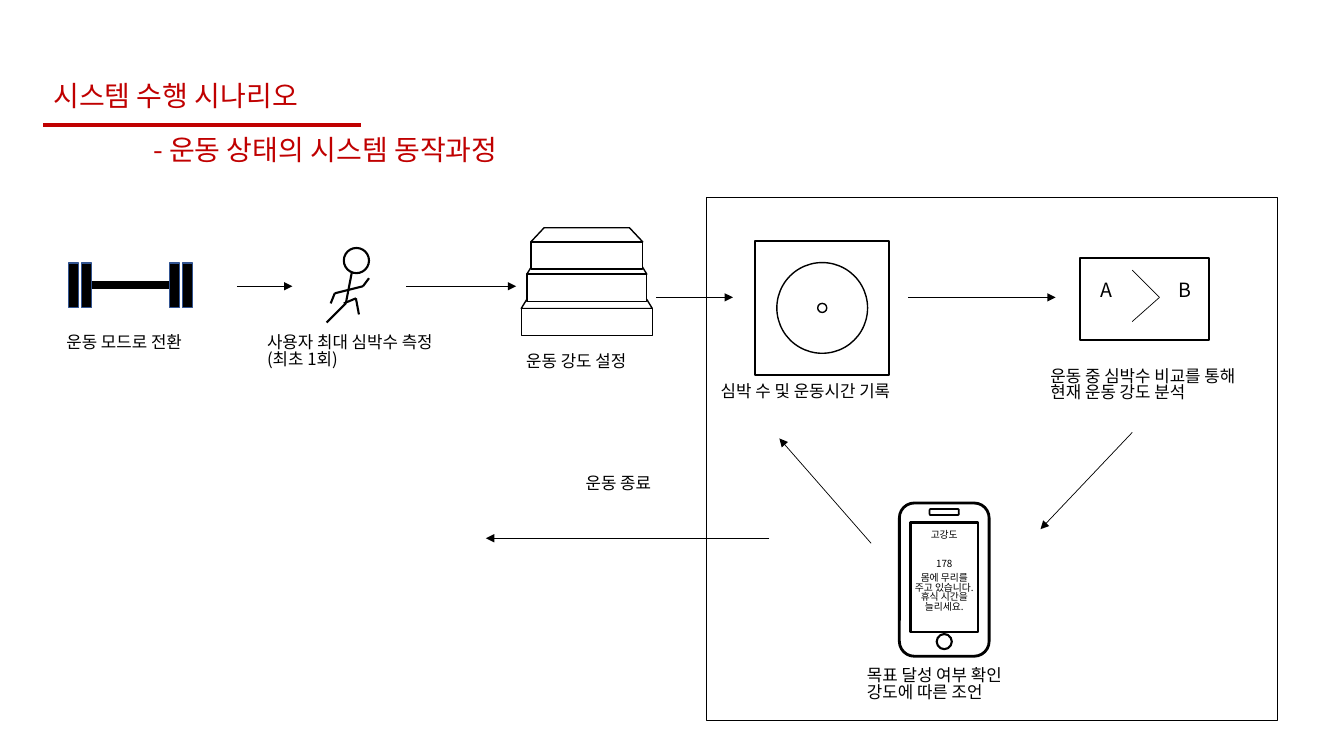
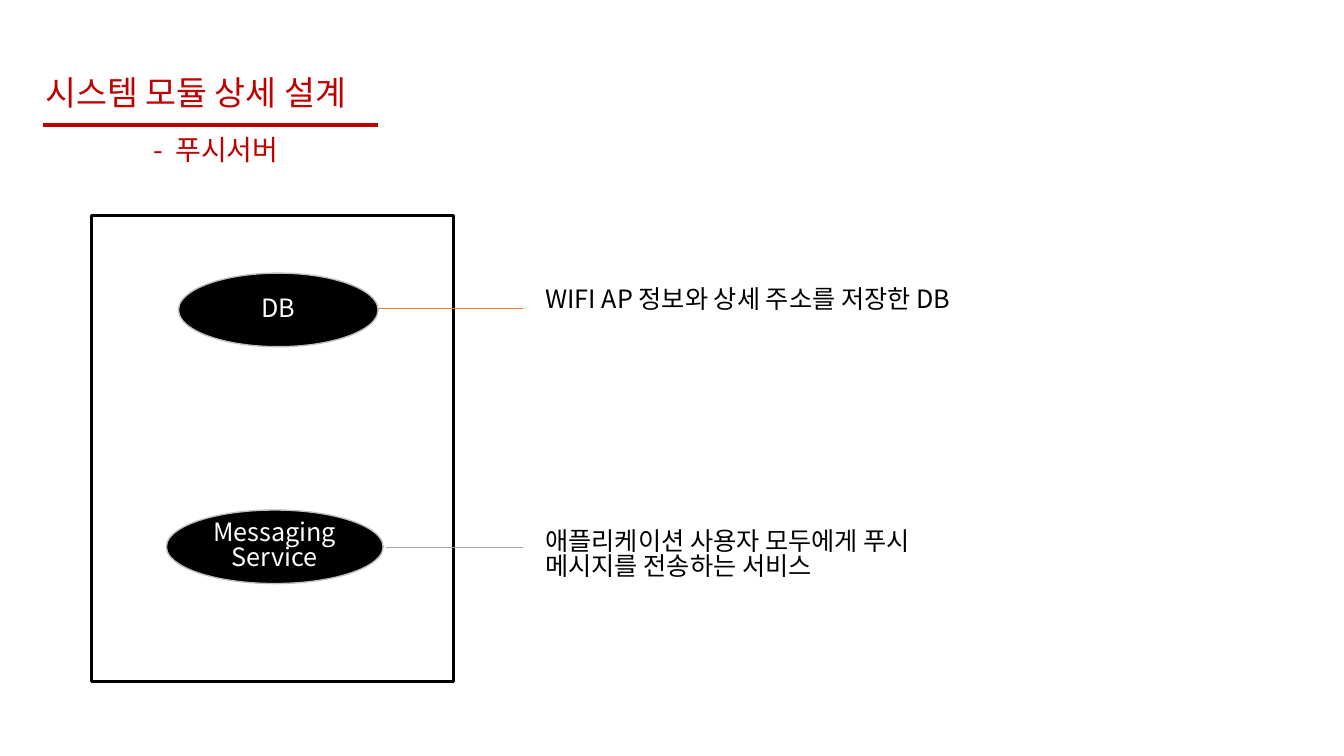
from dataclasses import dataclass
from lxml.etree import SubElement
from pptx import Presentation
from pptx.dml.color import RGBColor
from pptx.enum.shapes import MSO_CONNECTOR, MSO_SHAPE
from pptx.enum.text import MSO_ANCHOR, PP_ALIGN
from pptx.oxml.ns import qn
from pptx.util import Inches, Pt


@dataclass(frozen=True)
class Theme:
    font: str = "Noto Sans CJK KR"
    red: str = "C00000"
    ink: str = "000000"
    paper: str = "FFFFFF"
    navy: str = "325491"
    rim: str = "BFBFBF"
    orange: str = "ED7D31"
    gray: str = "A5A5A5"
    head: int = 24
    sub: int = 20
    body: int = 18
    mark: int = 14
    note: int = 12
    tiny: int = 7
    thin: float = 0.5
    edge: float = 1
    bold: float = 1.5
    rule: float = 2.25
    pitch: float = 0.83


T = Theme()
WIDE, HIGH = 13.33, 7.5
RECT, OVAL = MSO_SHAPE.RECTANGLE, MSO_SHAPE.OVAL
ROUND, TRAP = MSO_SHAPE.ROUNDED_RECTANGLE, MSO_SHAPE.TRAPEZOID

FLOW = {
    "title": ("시스템 수행 시나리오", T.sub, (0.43, 0.79, 3.13, 0.44)),
    "sub": "- 운동 상태의 시스템 동작과정",
    "rule": 3.15,
    "notes": [
        (["운동 모드로 전환"], 0.56, 3.28),
        (["사용자 최대 심박수 측정", "(최초 1회)"], 2.55, 3.28),
        (["운동 강도 설정"], 5.12, 3.46),
        (["심박 수 및 운동시간 기록"], 7.05, 3.76),
        (["운동 중 심박수 비교를 통해", "현재 운동 강도 분석"], 10.32, 3.61),
        (["목표 달성 여부 확인", "강도에 따른 조언"], 8.5, 6.58),
        (["운동 종료"], 5.71, 4.67),
    ],
    "arrows": [
        ((2.35, 2.84), (2.9, 2.84)),
        ((4.03, 2.84), (5.12, 2.84)),
        ((6.51, 2.95), (7.27, 2.95)),
        ((9.01, 2.95), (10.47, 2.95)),
        ((11.23, 4.29), (10.32, 5.25)),
        ((8.64, 5.39), (7.73, 4.35)),
        ((7.63, 5.34), (4.82, 5.34)),
    ],
    "loop": (7.01, 1.96, 5.66, 5.19),
}
BONES = [
    [(0.25, 0.24), (0.19, 0.55), (0, 0.74)],
    [(0.17, 0.55), (0.29, 0.5), (0.32, 0.66)],
    [(0.42, 0.3), (0.36, 0.38), (0.08, 0.45), (0.04, 0.55)],
]
TIERS = [(2.97, 1.3, 0.09, 0.61), (2.63, 1.19, 0.09, 0.61), (2.26, 1.11, 0.14, 0.94)]
ADVICE = [
    (0.23, ["고강도"]),
    (0.51, ["178"]),
    (0.65, ["몸에 무리를", "주고 있습니다.", "휴식 시간을", "늘리세요."]),
]
PUSH = {
    "title": ("시스템 모듈 상세 설계", T.head, (0.35, 0.73, 3.59, 0.5)),
    "sub": "-  푸시서버",
    "rule": 3.32,
    "box": (0.91, 2.14, 3.59, 4.62),
    "parts": [
        (["DB"], (1.77, 2.71, 1.98, 0.73), 3.06, 3.75, T.orange,
         ["WIFI AP 정보와 상세 주소를 저장한 DB"], 2.81),
        (["Messaging", "Service"], (1.65, 5.06, 2.15, 0.73), 5.43, 3.83, T.gray,
         ["애플리케이션 사용자 모두에게 푸시", "메시지를 전송하는 서비스"], 5.21),
    ],
}


def tint(code):
    return RGBColor.from_string(code)


def write(frame, lines, size, color, align=PP_ALIGN.LEFT):
    frame.word_wrap = True
    for i, line in enumerate(lines):
        para = frame.paragraphs[0] if i == 0 else frame.add_paragraph()
        run = para.add_run()
        run.text = line
        para.alignment = align
        para.line_spacing = T.pitch
        para.font.size = Pt(size)
        para.font.name = T.font
        para.font.color.rgb = tint(color)
        props = run._r.get_or_add_rPr()
        SubElement(props, qn("a:ea")).set("typeface", T.font)


def text(slide, lines, at, size, color=T.ink, align=PP_ALIGN.LEFT):
    box = slide.shapes.add_textbox(*map(Inches, at))
    write(box.text_frame, lines, size, color, align)


def shape(slide, kind, at, width, fill=None, line=T.ink):
    item = slide.shapes.add_shape(kind, *map(Inches, at))
    item.shadow.inherit = False
    if fill:
        item.fill.solid()
        item.fill.fore_color.rgb = tint(fill)
    else:
        item.fill.background()
    item.line.color.rgb = tint(line)
    item.line.width = Pt(width)
    return item


def link(slide, start, end, width, color=T.ink, arrow=False):
    item = slide.shapes.add_connector(MSO_CONNECTOR.STRAIGHT, *map(Inches, (*start, *end)))
    item.line.color.rgb = tint(color)
    item.line.width = Pt(width)
    if arrow:
        SubElement(item.line._get_or_add_ln(), qn("a:tailEnd")).set("type", "triangle")
    SubElement(item._element.spPr, qn("a:effectLst"))


def trace(slide, points, width):
    for start, end in zip(points, points[1:]):
        link(slide, start, end, width)


def page(deck, data):
    slide = deck.slides.add_slide(deck.slide_layouts[6])
    title, size, at = data["title"]
    link(slide, (0.43, 1.24), (0.43 + data["rule"], 1.24), T.rule, T.red)
    text(slide, [title], at, size, T.red)
    text(slide, [data["sub"]], (1.42, 1.32, 6.28, 0.44), T.sub, T.red)
    return slide


def weight(slide, x, y):
    for step in (0, 0.13, 1, 1.13):
        shape(slide, RECT, (x + step, y, 0.1, 0.44), T.edge, T.ink, T.navy)
    link(slide, (x + 0.23, y + 0.22), (x + 1, y + 0.22), 6)


def runner(slide, x, y):
    shape(slide, OVAL, (x + 0.17, y, 0.25, 0.25), T.bold)
    for limb in BONES:
        trace(slide, [(x + dx, y + dy) for dx, dy in limb], T.bold)


def stack(slide, mid):
    for top, wide, roof, slant in TIERS:
        left = mid - wide / 2
        cap = shape(slide, TRAP, (left, top, wide, roof), T.edge, T.paper)
        cap.adjustments[0] = slant
        shape(slide, RECT, (left, top + roof, wide, 0.27), T.edge, T.paper)


def disc(slide, x, y):
    for kind, side, width in ((RECT, 1.33, T.bold), (OVAL, 0.9, T.edge), (OVAL, 0.09, T.edge)):
        gap = (1.33 - side) / 2
        shape(slide, kind, (x + gap, y + gap, side, side), width)


def versus(slide, x, y):
    shape(slide, RECT, (x, y, 1.28, 0.81), T.bold)
    trace(slide, [(x + 0.52, y + 0.12), (x + 0.79, y + 0.39), (x + 0.52, y + 0.63)], T.thin)
    for name, step in (("A", 0.11), ("B", 0.88)):
        text(slide, [name], (x + step, y + 0.19, 0.33, 0.34), T.mark)


def phone(slide, x, y):
    wide = 0.89
    for kind, top, w, h, line in (
        (ROUND, 0, wide, 1.52, 2),
        (RECT, 0.19, 0.67, 1.09, 2),
        (OVAL, 1.3, 0.15, 0.15, T.bold),
        (ROUND, 0.06, 0.29, 0.06, 1.25),
    ):
        shape(slide, kind, (x + (wide - w) / 2, y + top, w, h), line, T.paper)
    for top, lines in ADVICE:
        at = (x, y + top, wide, 0.1 + 0.12 * len(lines))
        text(slide, lines, at, T.tiny, align=PP_ALIGN.CENTER)


def flow(deck):
    slide = page(deck, FLOW)
    shape(slide, RECT, FLOW["loop"], T.edge)
    weight(slide, 0.68, 2.61)
    runner(slide, 3.24, 2.46)
    stack(slide, 5.82)
    disc(slide, 7.49, 2.39)
    versus(slide, 10.71, 2.56)
    phone(slide, 8.92, 4.99)
    for lines, x, y in FLOW["notes"]:
        text(slide, lines, (x, y, 2.35, 0.1 + 0.2 * len(lines)), T.note)
    for start, end in FLOW["arrows"]:
        link(slide, start, end, T.thin, arrow=True)


def push(deck):
    slide = page(deck, PUSH)
    shape(slide, RECT, PUSH["box"], T.rule)
    for name, at, y, x, color, lines, top in PUSH["parts"]:
        oval = shape(slide, OVAL, at, T.edge, T.ink, T.rim)
        oval.text_frame.vertical_anchor = MSO_ANCHOR.MIDDLE
        write(oval.text_frame, name, T.body, T.paper, PP_ALIGN.CENTER)
        text(slide, lines, (5.31, top, 4.66, 0.1 + 0.3 * len(lines)), T.body)
        link(slide, (5.19, y), (x, y), T.thin, color)


def main():
    """Build the workout flow and push server slides."""
    deck = Presentation()
    deck.slide_width, deck.slide_height = Inches(WIDE), Inches(HIGH)
    flow(deck)
    push(deck)
    deck.save("out.pptx")


if __name__ == "__main__":
    main()
